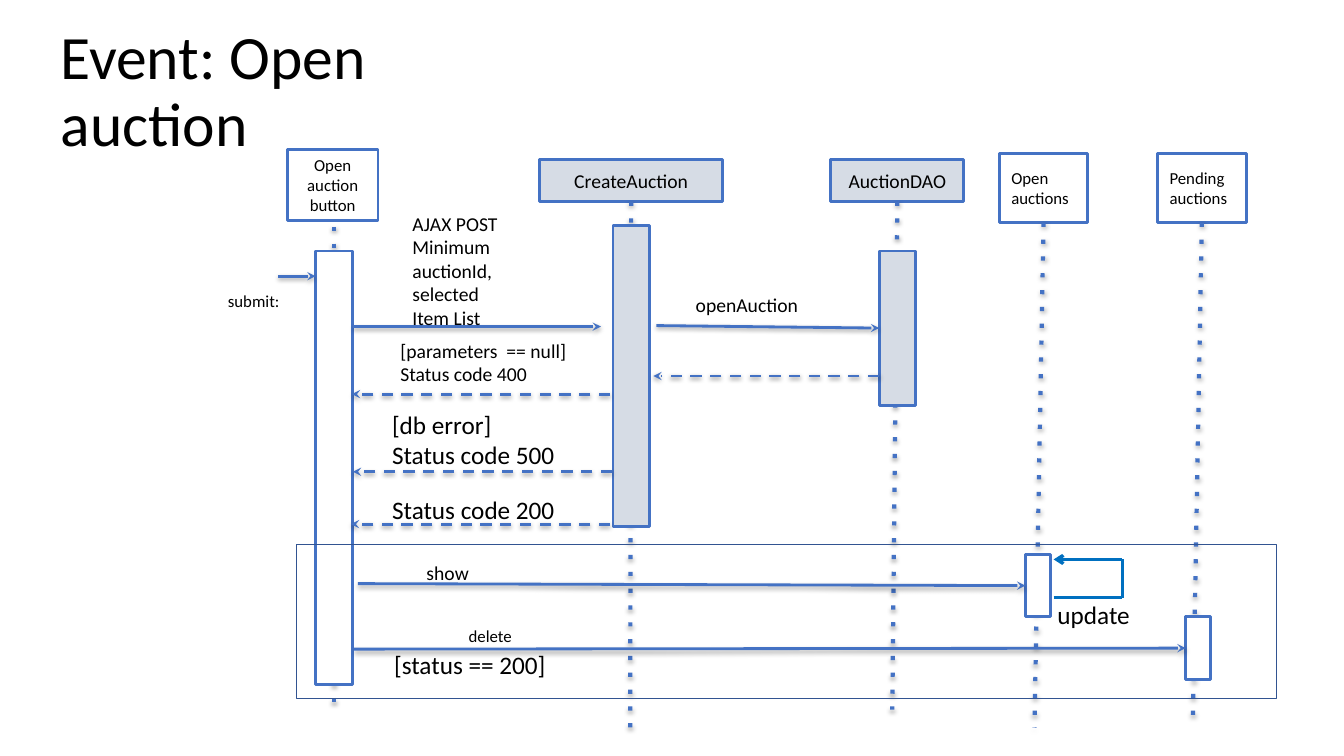
import itertools
from dataclasses import dataclass

import lxml.etree
import pptx
import pptx.dml.color
import pptx.enum.shapes
import pptx.enum.text
import pptx.oxml
import pptx.oxml.ns
import pptx.util


@dataclass(frozen=True)
class Theme:
    font: str = "Calibri"
    ink: str = "000000"
    client: str = "FFFFFF"
    server: str = "D6DCE5"
    stroke: str = "4472C4"
    loop: str = "0070C0"
    frame: str = "325491"
    title: int = 44
    large: int = 18
    medium: int = 14
    small: int = 12


THEME = Theme()
PX = 9144
SLIDE_SIZE = (1333, 750)
TIGHT = (10, 5)
ROOMY = (12, 6)

TITLE = "Event: Open auction"
TITLE_AREA = (50, 20, 459, 145)

PARTICIPANTS = {
    "button": ("Open auction button", (285, 148, 90, 71), THEME.client, THEME.small, "CENTER"),
    "servlet": ("CreateAuction", (535, 158, 182, 42), THEME.server, THEME.medium, "CENTER"),
    "dao": ("AuctionDAO", (824, 158, 132, 42), THEME.server, THEME.medium, "CENTER"),
    "open": ("Open auctions", (991, 152, 88, 69), THEME.client, THEME.small, "LEFT"),
    "pending": ("Pending auctions", (1148, 152, 88, 69), THEME.client, THEME.small, "LEFT"),
}
LIFELINES = [
    ("button", (331, 225), (331, 709)),
    ("servlet", (626, 200), (625, 723)),
    ("dao", (890, 200), (885, 704)),
    ("open", (1035, 221), (1026, 722)),
    ("pending", (1192, 221), (1183, 720)),
]
ACTIVATIONS = {
    "button": ((313, 249, 37, 430), THEME.client),
    "servlet": ((608, 224, 36, 298), THEME.server),
    "dao": ((872, 249, 36, 153), THEME.server),
    "open": ((1017, 550, 25, 62), THEME.client),
    "pending": ((1176, 612, 25, 62), THEME.client),
}
MESSAGES = [
    ((276, 274), (313, 274), None, None),
    ((350, 324), (596, 324), None, None),
    ((651, 323), (871, 325), None, "dao"),
    ((872, 373), (648, 373), "dash", None),
    ((605, 391), (349, 391), "dash", None),
    ((607, 468), (350, 468), "dash", None),
    ((605, 520), (348, 520), "dash", None),
    ((355, 579), (1017, 583), None, "open"),
    ((351, 644), (1176, 643), None, "pending"),
]
UPDATE_LOOP = [(1045, 593), (1113, 593), (1113, 555), (1045, 555)]
FRAME = (294, 540, 972, 153)

LABELS = [
    (["AJAX POST", "Minimum auctionId, selected Item List"],
     (397, 204, 125, 103), THEME.medium, ROOMY, True, "LEFT"),
    (["openAuction"], (678, 285, 212, 55), THEME.medium, ROOMY, True, "LEFT"),
    (["submit:"], (214, 282, 109, 84), THEME.small, ROOMY, True, "LEFT"),
    (["[parameters  == null]", "Status code 400"],
     (385, 330, 212, 55), THEME.medium, ROOMY, True, "LEFT"),
    (["[db error]", "Status code 500"], (379, 401, 183, 71), THEME.large, TIGHT, True, "LEFT"),
    (["Status code 200"], (379, 486, 181, 40), THEME.large, TIGHT, True, "LEFT"),
    (["show"], (353, 550, 182, 48), THEME.medium, ROOMY, True, "CENTER"),
    (["update"], (1039, 590, 93, 40), THEME.large, TIGHT, False, "LEFT"),
    (["delete"], (455, 616, 63, 30), THEME.small, TIGHT, True, "LEFT"),
    (["[status == 200]"], (381, 639, 172, 40), THEME.large, TIGHT, False, "LEFT"),
]


def px(*lengths):
    return [pptx.util.Emu(length * PX) for length in lengths]


def color(code):
    return pptx.dml.color.RGBColor.from_string(code)


def write(frame, lines, size, align, insets=TIGHT, wrap=True):
    frame.word_wrap = wrap
    frame.margin_left = frame.margin_right = px(insets[0])[0]
    frame.margin_top = frame.margin_bottom = px(insets[1])[0]
    frame.text = "\n".join(lines)
    for paragraph in frame.paragraphs:
        paragraph.alignment = pptx.enum.text.PP_ALIGN[align]
        paragraph.font.name = THEME.font
        paragraph.font.size = pptx.util.Pt(size)
        paragraph.font.color.rgb = color(THEME.ink)


def draw_box(shapes, area, fill, stroke=THEME.stroke, weight=2):
    box = shapes.add_shape(pptx.enum.shapes.MSO_SHAPE.RECTANGLE, *px(*area))
    box.shadow.inherit = False
    if fill:
        box.fill.solid()
        box.fill.fore_color.rgb = color(fill)
    else:
        box.fill.background()
    box.line.color.rgb = color(stroke)
    box.line.width = pptx.util.Pt(weight)
    return box


def add_node(parent, tag, **attributes):
    return lxml.etree.SubElement(parent, pptx.oxml.ns.qn(tag), attributes)


def draw_line(shapes, start, end, weight=2, stroke=THEME.stroke, dash=None, arrow=None, shadow=True):
    line = shapes.add_connector(pptx.enum.shapes.MSO_CONNECTOR.STRAIGHT, *px(*start, *end))
    line.line.color.rgb = color(stroke)
    line.line.width = pptx.util.Pt(weight)
    outline = line.line._get_or_add_ln()
    if dash:
        add_node(outline, "a:prstDash", val=dash)
    if arrow:
        add_node(outline, "a:tailEnd", type=arrow)
    effects = add_node(line._element.spPr, "a:effectLst")
    if shadow:
        cast = add_node(effects, "a:outerShdw", blurRad="40000", dist="21000",
                        dir="5400000", rotWithShape="0")
        add_node(add_node(cast, "a:srgbClr", val=THEME.ink), "a:alpha", val="36000")
    return line


def main():
    deck = pptx.Presentation()
    deck.slide_width, deck.slide_height = px(*SLIDE_SIZE)
    slide = deck.slides.add_slide(deck.slide_layouts[5])
    shapes = slide.shapes

    title = shapes.title
    title.left, title.top, title.width, title.height = px(*TITLE_AREA)
    write(title.text_frame, [TITLE], THEME.title, "LEFT")
    title.text_frame.auto_size = pptx.enum.text.MSO_AUTO_SIZE.NONE
    title.text_frame.vertical_anchor = pptx.enum.text.MSO_ANCHOR.MIDDLE
    title.text_frame.paragraphs[0].line_spacing = 0.9

    heads = {}
    for key, (name, area, fill, size, align) in PARTICIPANTS.items():
        heads[key] = draw_box(shapes, area, fill)
        write(heads[key].text_frame, [name], size, align, ROOMY)
        heads[key].text_frame.vertical_anchor = pptx.enum.text.MSO_ANCHOR.MIDDLE

    for key, start, end in LIFELINES:
        lifeline = draw_line(shapes, start, end, weight=3, dash="dot")
        if key != "button":
            lifeline.begin_connect(heads[key], 2)

    bars = {key: draw_box(shapes, area, fill) for key, (area, fill) in ACTIVATIONS.items()}

    for start, end, dash, receiver in MESSAGES:
        message = draw_line(shapes, start, end, dash=dash, arrow="stealth")
        if receiver:
            message.end_connect(bars[receiver], 1)

    for start, end in itertools.pairwise(UPDATE_LOOP):
        arrow = "arrow" if end == UPDATE_LOOP[-1] else None
        draw_line(shapes, start, end, 2.25, THEME.loop, arrow=arrow, shadow=False)

    draw_box(shapes, FRAME, None, THEME.frame, 1)

    for lines, area, size, insets, wrap, align in LABELS:
        label = shapes.add_textbox(*px(*area))
        write(label.text_frame, lines, size, align, insets, wrap)

    deck.save("out.pptx")


if __name__ == "__main__":
    main()
